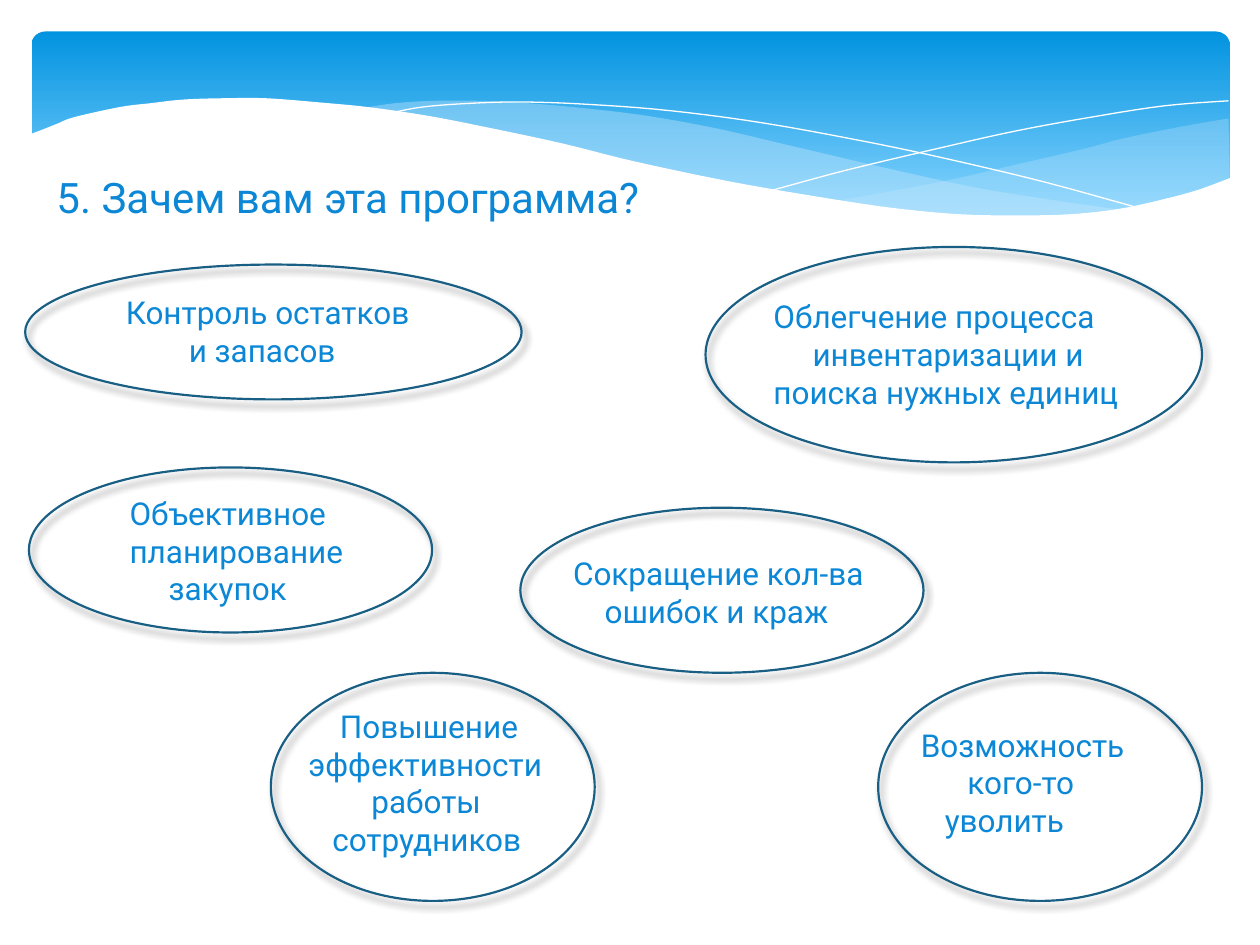
from lxml import etree
from pptx import Presentation
from pptx.dml.color import RGBColor
from pptx.enum.shapes import MSO_SHAPE
from pptx.oxml.ns import qn
from pptx.util import Inches, Pt

ELLIPSE = MSO_SHAPE.OVAL
ROUNDED = MSO_SHAPE.ROUNDED_RECTANGLE
FONT = "Roboto"
COLORS = {
    "text": "0B87D6", "outline": "195F84", "shadow": "000000", "white": "FFFFFF",
    "wave": "C6E7FC", "sky_top": "0293E0", "sky_bottom": "83D3FE",
}

RIGHT_WAVE_TOP = [
    (9.5, 0.69), (9.1, 0.76), (8.66, 0.85), (8.36, 0.93), (7.8, 1.06),
    (7.28, 1.18), (6.81, 1.27), (6.36, 1.35)]
RIGHT_WAVE_BOTTOM = [
    (6.36, 1.35), (6.66, 1.39), (7.07, 1.43), (7.44, 1.46), (7.78, 1.47), (8.1, 1.47),
    (8.38, 1.45), (8.64, 1.42), (8.88, 1.37), (9.1, 1.31), (9.38, 1.22), (9.51, 1.16)]
MIDDLE_WAVE_TOP = [
    (8.68, 1.42), (8.12, 1.34), (7.5, 1.24), (6.81, 1.09), (6.04, 0.91), (5.44, 0.77),
    (4.89, 0.67), (4.4, 0.61), (3.95, 0.57), (3.55, 0.55), (3.19, 0.55), (2.88, 0.57),
    (2.61, 0.61)]
MIDDLE_WAVE_BOTTOM = [
    (2.61, 0.61), (2.98, 0.65), (3.37, 0.72), (3.79, 0.81), (4.24, 0.91), (5.05, 1.1),
    (5.76, 1.25), (6.4, 1.36), (6.97, 1.43), (7.48, 1.47), (7.93, 1.48), (8.32, 1.46),
    (8.68, 1.42)]
FALLING_LINE = [
    (2.84, 0.65), (3.1, 0.6), (3.49, 0.57), (3.91, 0.56), (4.44, 0.58), (5.08, 0.63),
    (5.83, 0.73), (6.7, 0.89), (7.35, 1.03), (8.06, 1.2), (8.82, 1.41)]
RISING_LINE = [
    (5.88, 1.26), (6.47, 1.1), (7.23, 0.92), (7.81, 0.79), (8.41, 0.68), (8.99, 0.59),
    (9.5, 0.55)]
COVER_TOP = [
    (9.52, 1.16), (9.25, 1.26), (8.95, 1.34), (8.62, 1.41), (8.25, 1.45), (7.84, 1.46),
    (7.36, 1.45), (6.83, 1.4), (6.23, 1.31), (5.54, 1.19), (4.78, 1.03), (4.22, 0.89),
    (3.66, 0.77), (3.15, 0.67), (2.67, 0.6), (2.25, 0.56), (1.86, 0.53), (1.52, 0.53),
    (1.21, 0.54), (0.94, 0.57), (0.7, 0.6), (0.34, 0.68), (0.21, 0.73), (0.11, 0.77),
    (-0.02, 0.82)]
COVER_BOTTOM = [(-0.02, 1.99), (9.52, 1.99)]

# Each reason: ellipse box, text box, lines with their indents
REASONS = [
    ((0.2, 2.1, 3.94, 1.07), (0.9, 2.28, 2.54, 0.71),
     [("Контроль остатков", 0), ("и запасов", 0.5)]),
    ((0.23, 3.71, 3.2, 1.31), (0.93, 3.87, 1.95, 1.01),
     [("Объективное", 0), ("планирование", 0), ("закупок", 0.31)]),
    ((5.6, 1.96, 3.94, 1.71), (6.04, 2.31, 3.05, 1.01),
     [("Облегчение процесса", 0), ("инвентаризации и", 0.31), ("поиска нужных единиц", 0)]),
    ((4.13, 4.03, 3.2, 1.31), (4.45, 4.35, 2.67, 0.71),
     [("Сокращение кол-ва", 0), ("ошибок и краж", 0.25)]),
    ((2.15, 5.34, 2.57, 1.81), (2.35, 5.56, 2.16, 1.31),
     [("Повышение", 0.25), ("эффективности", 0), ("работы", 0.5), ("сотрудников", 0.19)]),
    ((6.97, 5.34, 2.57, 1.81), (7.02, 5.71, 2.07, 1.01),
     [("Возможность", 0.19), ("кого-то", 0.56), ("уволить", 0.38)]),
]


def color(name):
    """Return the named colour."""
    return RGBColor.from_string(COLORS[name])


def smooth(points, steps=5):
    """Return a Catmull-Rom curve through the points."""
    padded = [points[0], *points, points[-1]]
    curve = [points[0]]
    for a, b, c, d in zip(padded, padded[1:], padded[2:], padded[3:]):
        for step in range(1, steps + 1):
            t = step / steps
            curve.append(tuple(
                (2 * q + (r - p) * t + (2 * p - 5 * q + 4 * r - s) * t ** 2
                 + (3 * q - p - 3 * r + s) * t ** 3) / 2
                for p, q, r, s in zip(a, b, c, d)))
    return curve


def add_outline(slide, left, top, points, close):
    """Draw a freeform whose points are relative to left and top."""
    places = [(Inches(left + x), Inches(top + y)) for x, y in points]
    builder = slide.shapes.build_freeform(*places[0])
    builder.add_line_segments(places[1:], close=close)
    shape = builder.convert_to_shape()
    shape.shadow.inherit = False
    return shape


def add_wave(slide, left, top, points, fill, opacity=100):
    """Draw a filled wave with the given opacity in percent."""
    shape = add_outline(slide, left, top, points, True)
    shape.fill.solid()
    shape.fill.fore_color.rgb = color(fill)
    shape.line.fill.background()
    if opacity < 100:
        solid = shape._element.spPr.find(qn("a:solidFill"))
        etree.SubElement(solid[0], qn("a:alpha"), val=str(opacity * 1000))


def add_header(slide, left, top, width, height):
    """Draw the gradient panel with its waves and curved lines."""
    panel = slide.shapes.add_shape(
        ROUNDED, Inches(left), Inches(top), Inches(width), Inches(height))
    panel.adjustments[0] = 0.07
    panel.shadow.inherit = False
    panel.line.fill.background()
    panel.fill.gradient()
    panel.fill.gradient_angle = 270
    for stop, name, position in zip(
            panel.fill.gradient_stops, ("sky_top", "sky_bottom"), (0, 0.9)):
        stop.color.rgb = color(name)
        stop.position = position
    add_wave(slide, left, top, smooth(RIGHT_WAVE_TOP) + smooth(RIGHT_WAVE_BOTTOM), "wave", 29)
    add_wave(slide, left, top, smooth(MIDDLE_WAVE_TOP) + smooth(MIDDLE_WAVE_BOTTOM), "wave", 40)
    for points in (FALLING_LINE, RISING_LINE):
        curve = add_outline(slide, left, top, smooth(points), False)
        curve.fill.background()
        curve.line.color.rgb = color("white")
        curve.line.width = Pt(0)
    add_wave(slide, left, top, smooth(COVER_TOP) + COVER_BOTTOM, "white")


def add_text(slide, box, lines, size):
    """Write lines, each with its own left indent in inches."""
    frame = slide.shapes.add_textbox(*map(Inches, box)).text_frame
    frame.word_wrap = True
    for index, (text, indent) in enumerate(lines):
        paragraph = frame.add_paragraph() if index else frame.paragraphs[0]
        paragraph.text = text
        paragraph.font.name = FONT
        paragraph.font.size = Pt(size)
        paragraph.font.color.rgb = color("text")
        paragraph._p.get_or_add_pPr().set("marL", str(Inches(indent)))


def add_reason(slide, ellipse_box, text_box, lines):
    """Draw one outlined ellipse with a soft shadow and its text."""
    ellipse = slide.shapes.add_shape(ELLIPSE, *map(Inches, ellipse_box))
    ellipse.fill.background()
    ellipse.line.color.rgb = color("outline")
    ellipse.line.width = Pt(1.25)
    ellipse.shadow.inherit = False
    effects = ellipse._element.spPr.find(qn("a:effectLst"))
    shadow = etree.SubElement(
        effects, qn("a:outerShdw"), blurRad=str(Pt(4)), dist=str(Pt(4)),
        dir=str(60 * 60000), rotWithShape="0")
    tint = etree.SubElement(shadow, qn("a:srgbClr"), val=COLORS["shadow"])
    etree.SubElement(tint, qn("a:alpha"), val="43000")
    add_text(slide, text_box, lines, 18)


def main():
    """Build and save the slide."""
    presentation = Presentation()
    presentation.slide_width = Inches(10)
    presentation.slide_height = Inches(7.5)
    slide = presentation.slides.add_slide(presentation.slide_layouts[6])
    add_header(slide, 0.25, 0.25, 9.51, 1.56)
    add_text(slide, (0.35, 1.31, 5.67, 0.5), [("5. Зачем вам эта программа?", 0)], 24)
    for reason in REASONS:
        add_reason(slide, *reason)
    presentation.save("out.pptx")


if __name__ == "__main__":
    main()
